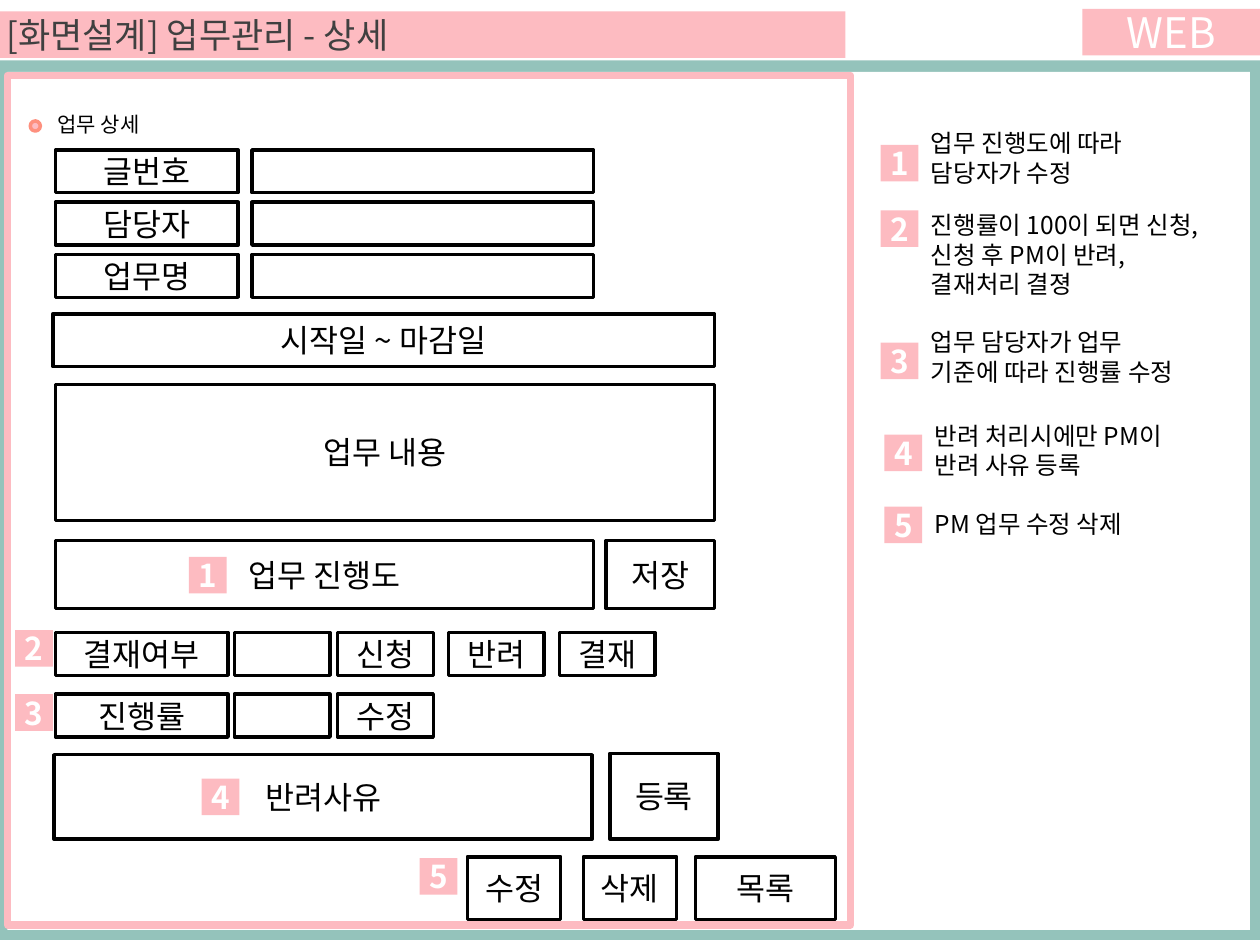
import pptx
import pptx.util
import pptx.dml.color
import pptx.enum.shapes
import pptx.enum.text
import pptx.oxml.ns
import lxml.etree

Inches = pptx.util.Inches
Pt = pptx.util.Pt
SHAPE = pptx.enum.shapes.MSO_SHAPE
ALIGN = pptx.enum.text.PP_ALIGN
FACE = "Noto Sans CJK KR"
COLORS = {"teal": "94C3BB", "pink": "FDBBC1", "coral": "FE907E",
          "white": "FFFFFF", "black": "000000", "gray": "404040"}


def color(name):
    return pptx.dml.color.RGBColor.from_string(COLORS[name])


def write(frame, text, size, ink, align, bold=False):
    """Fill a text frame with one styled paragraph."""
    para = frame.paragraphs[0]
    para.text = text
    para.alignment = align
    font = para.font
    font.name, font.size, font.bold = FACE, Pt(size), bold
    font.color.rgb = color(ink)
    # East Asian glyphs need their own typeface entry
    qn = pptx.oxml.ns.qn
    latin = next(para._p.iter(qn("a:latin")))
    east = lxml.etree.Element(qn("a:ea"), typeface=FACE)
    latin.addnext(east)


def block(slide, x, y, w, h, fill=None, line=None, width=2, kind=SHAPE.RECTANGLE):
    shape = slide.shapes.add_shape(kind, Inches(x), Inches(y), Inches(w), Inches(h))
    shape.shadow.inherit = False
    if fill:
        shape.fill.solid()
        shape.fill.fore_color.rgb = color(fill)
    else:
        shape.fill.background()
    if line:
        shape.line.color.rgb = color(line)
        shape.line.width = Pt(width)
    else:
        shape.line.fill.background()
    return shape


def label(shape, text, size=18, ink="black", align=ALIGN.CENTER, bold=False, inset=0):
    frame = shape.text_frame
    frame.word_wrap = True
    frame.vertical_anchor = pptx.enum.text.MSO_ANCHOR.MIDDLE
    frame.margin_left = frame.margin_right = Inches(inset)
    write(frame, text, size, ink, align, bold)


def field(slide, x, y, w, h, text=""):
    shape = block(slide, x, y, w, h, "white", "black")
    if text:
        label(shape, text)


def badge(slide, x, y, number):
    label(block(slide, x, y, 0.3, 0.29, "pink"), str(number), ink="white", bold=True)


def note(slide, x, y, w, h, text, size=14):
    box = slide.shapes.add_textbox(Inches(x), Inches(y), Inches(w), Inches(h))
    box.text_frame.word_wrap = True
    write(box.text_frame, text, size, "black", ALIGN.LEFT)


def header(slide, x, y, w):
    title = block(slide, x, y + 0.02, 6.71, 0.37, "pink")
    label(title, "[화면설계] 업무관리 - 상세", 20, "gray", ALIGN.LEFT, inset=0.05)
    label(block(slide, x + w - 1.41, y, 1.41, 0.37, "pink"), "WEB", 24, "white")


def frame(slide, x, y, w, h):
    block(slide, x, y, w, h, "teal")
    block(slide, x + 0.06, y + 0.09, w - 0.14, h - 0.17, "white")


def form(slide, x, y, w, h):
    block(slide, x, y, w, h, line="pink", width=4.5)

    # Heading
    block(slide, x + 0.18, y + 0.36, 0.08, 0.08, "pink", "coral", kind=SHAPE.OVAL)
    note(slide, x + 0.3, y + 0.24, 3.8, 0.3, "업무 상세", 12)

    # Name and value rows
    for i, name in enumerate(["글번호", "담당자", "업무명"]):
        top = y + 0.59 + i * 0.415
        field(slide, x + 0.38, top, 1.45, 0.34, name)
        field(slide, x + 1.94, top, 2.71, 0.34)

    # Boxes: left, top, width, height, text
    boxes = [
        (0.36, 1.89, 5.25, 0.42, "시작일 ~ 마감일"),
        (0.38, 2.45, 5.23, 1.08, "업무 내용"),
        (0.38, 3.69, 4.27, 0.54, "업무 진행도"),
        (4.75, 3.69, 0.86, 0.54, "저장"),
        (0.37, 5.39, 4.27, 0.67, "반려사유"),
        (4.78, 5.38, 0.86, 0.68, "등록"),
        (3.65, 6.2, 0.74, 0.5, "수정"),
        (4.57, 6.2, 0.74, 0.5, "삭제"),
        (5.46, 6.2, 1.11, 0.5, "목록"),
    ]
    for left, top, wide, high, text in boxes:
        field(slide, x + left, y + top, wide, high, text)

    # Status rows with their buttons
    rows = [(4.42, "결재여부", ["", "신청", "반려", "결재"]),
            (4.91, "진행률", ["", "수정"])]
    for top, name, keys in rows:
        field(slide, x + 0.38, y + top, 1.37, 0.34, name)
        for left, key in zip([1.8, 2.62, 3.5, 4.38], keys):
            field(slide, x + left, y + top, 0.76, 0.34, key)

    # Number marks
    marks = [(1.44, 3.82), (0.06, 4.4), (0.06, 4.91), (1.54, 5.58), (3.27, 6.21)]
    for number, (left, top) in enumerate(marks, 1):
        badge(slide, x + left, y + top, number)


def notes(slide, x, y):
    # Left, badge top, text top, text width, text height, text
    items = [
        (0, 0.18, 0, 2.2, 0.57, "업무 진행도에 따라 담당자가 수정"),
        (0, 0.7, 0.65, 2.46, 0.81, "진행률이 100이 되면 신청, 신청 후 PM이 반려, 결재처리 결졍"),
        (0, 1.75, 1.58, 2.2, 0.57, "업무 담당자가 업무 기준에 따라 진행률 수정"),
        (0.03, 2.48, 2.32, 2.2, 0.57, "반려 처리시에만 PM이 반려 사유 등록"),
        (0.03, 3.05, 3.02, 2.2, 0.34, "PM 업무 수정 삭제"),
    ]
    for number, (left, mark, top, wide, high, text) in enumerate(items, 1):
        badge(slide, x + left, y + mark, number)
        note(slide, x + left + 0.3, y + top, wide, high, text)


def main():
    deck = pptx.Presentation()
    deck.slide_width, deck.slide_height = Inches(10), Inches(7.5)
    slide = deck.slides.add_slide(deck.slide_layouts[6])
    frame(slide, 0, 0.48, 10, 6.98)
    header(slide, 0, 0.07, 10)
    form(slide, 0.06, 0.6, 6.69, 6.74)
    notes(slide, 6.99, 0.97)
    deck.save("out.pptx")


if __name__ == "__main__":
    main()
